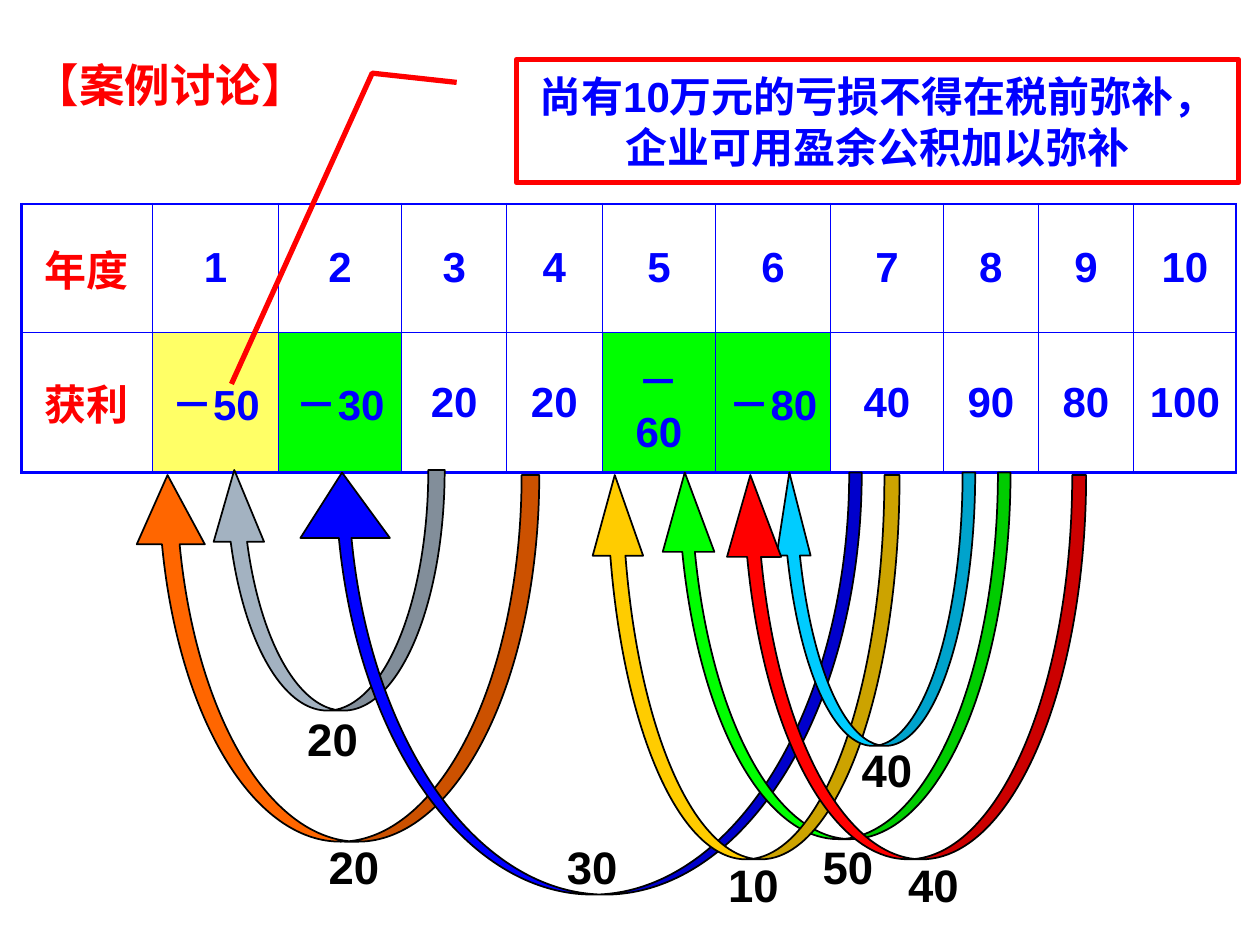
"""Build the loss carry-over case slide."""
from lxml.etree import SubElement as Sub
from pptx import Presentation
from pptx.dml.color import RGBColor as RGB
from pptx.enum.shapes import MSO_SHAPE as Shape
from pptx.enum.text import MSO_ANCHOR as Anchor, PP_ALIGN as Align
from pptx.oxml.ns import qn
from pptx.util import Inches, Pt

TITLE = "【案例讨论】"
NOTE = "尚有10万元的亏损不得在税前弥补，企业可用盈余公积加以弥补"
ROWS = [
    ["年度", "1", "2", "3", "4", "5", "6", "7", "8", "9", "10"],
    ["获利", "－50", "－30", "20", "20", "－60", "－80", "40", "90", "80", "100"],
]
WIDTHS = [1.04, 1, 0.98, 0.83, 0.76, 0.9, 0.91, 0.9, 0.75, 0.76, 0.81]
HEIGHTS = [1.02, 1.11]
FILLS = {"－50": "FFFF66", "－30": "00FF00", "－60": "00FF00", "－80": "00FF00"}
BEND = [0.188, -0.083, 0.113, -0.2, 2.63, -0.395]
RED, BLUE, BLACK = "FF0000", "0000FF", "000000"

# colour, box, (shaft width, head width, head height), label, label spot
ARROWS = [
    ("A3B2C1", (1.66, 3.73, 1.87, 1.91), (0.13, 0.4, 0.57), "20", (2.34, 5.59)),
    ("FF6600", (1.06, 3.77, 3.22, 2.91), (0.14, 0.54, 0.55), "20", (2.51, 6.61)),
    (BLUE, (2.36, 3.75, 4.48, 3.35), (0.1, 0.71, 0.52), "30", (4.4, 6.61)),
    ("00FF00", (5.23, 3.75, 2.79, 2.91), (0.1, 0.41, 0.63), "50", (6.43, 6.61)),
    ("FFCC00", (4.68, 3.77, 2.46, 3.05), (0.12, 0.4, 0.64), "10", (5.68, 6.75)),
    ("00CCFF", (6.13, 3.75, 1.61, 2.17), (0.1, 0.27, 0.66), "40", (6.74, 5.84)),
    (RED, (5.74, 3.77, 2.88, 3.05), (0.11, 0.43, 0.65), "40", (7.11, 6.75)),
]


def tint(code):
    return RGB.from_string(code)


def write(frame, text, size, color, align=Align.LEFT):
    frame.word_wrap = True
    para = frame.paragraphs[0]
    para.alignment = align
    run = para.add_run()
    run.text = text
    style = {"name": "Arial", "size": Pt(size), "bold": True}
    for key, value in style.items():
        setattr(run.font, key, value)
    run.font.color.rgb = tint(color)


def label(slide, text, spot, width, color):
    box = slide.shapes.add_textbox(*map(Inches, (*spot, width, 0.53)))
    write(box.text_frame, text, 26, color)


def draw(slide, kind, box, adjust, line, weight, fill=None):
    shape = slide.shapes.add_shape(kind, *map(Inches, box))
    shape.shadow.inherit = False
    for i, value in enumerate(adjust):
        shape.adjustments[i] = value
    if fill:
        shape.fill.solid()
        shape.fill.fore_color.rgb = tint(fill)
    else:
        shape.fill.background()
    shape.line.color.rgb = tint(line)
    shape.line.width = Pt(weight)
    return shape


def edge(cell, outer):
    props = cell._tc.get_or_add_tcPr()
    for i, (side, thick) in enumerate(outer.items()):
        width = Pt(1.47 if thick else 0.75)
        line = props.makeelement(qn("a:" + side), {"w": str(width)})
        solid = Sub(line, qn("a:solidFill"))
        Sub(solid, qn("a:srgbClr"), val=BLUE)
        props.insert(i, line)


def grid(slide):
    box = map(Inches, (0.17, 1.62, sum(WIDTHS), sum(HEIGHTS)))
    table = slide.shapes.add_table(len(ROWS), len(WIDTHS), *box).table
    table.first_row = table.horz_banding = False
    for col, width in zip(table.columns, WIDTHS):
        col.width = Inches(width)
    for r, row in enumerate(ROWS):
        table.rows[r].height = Inches(HEIGHTS[r])
        for c, text in enumerate(row):
            cell = table.cell(r, c)
            cell.vertical_anchor = Anchor.MIDDLE
            write(cell.text_frame, text, 24, BLUE if c else RED, Align.CENTER)
            if text in FILLS:
                cell.fill.solid()
                cell.fill.fore_color.rgb = tint(FILLS[text])
            else:
                cell.fill.background()
            edge(cell, {"lnL": c == 0, "lnR": c == len(row) - 1,
                        "lnT": r == 0, "lnB": r == len(ROWS) - 1})


def main():
    deck = Presentation()
    deck.slide_width, deck.slide_height = Inches(10), Inches(7.5)
    slide = deck.slides.add_slide(deck.slide_layouts[6])
    grid(slide)
    for fill, box, sizes, text, spot in ARROWS:
        short = min(box[2:])
        adjust = [size / short for size in sizes]
        arrow = draw(slide, Shape.CURVED_UP_ARROW, box, adjust, BLACK, 1, fill)
        arrow._element.spPr.get_or_add_xfrm().set("flipH", "1")
        label(slide, text, spot, 0.67, BLACK)
    label(slide, TITLE, (0.17, 0.4), 2.87, RED)
    note = draw(slide, Shape.LINE_CALLOUT_2, (4.1, 0.47, 5.73, 0.98), BEND, RED, 3)
    note.text_frame.vertical_anchor = Anchor.MIDDLE
    write(note.text_frame, NOTE, 24, BLUE, Align.CENTER)
    deck.save("out.pptx")


if __name__ == "__main__":
    main()
